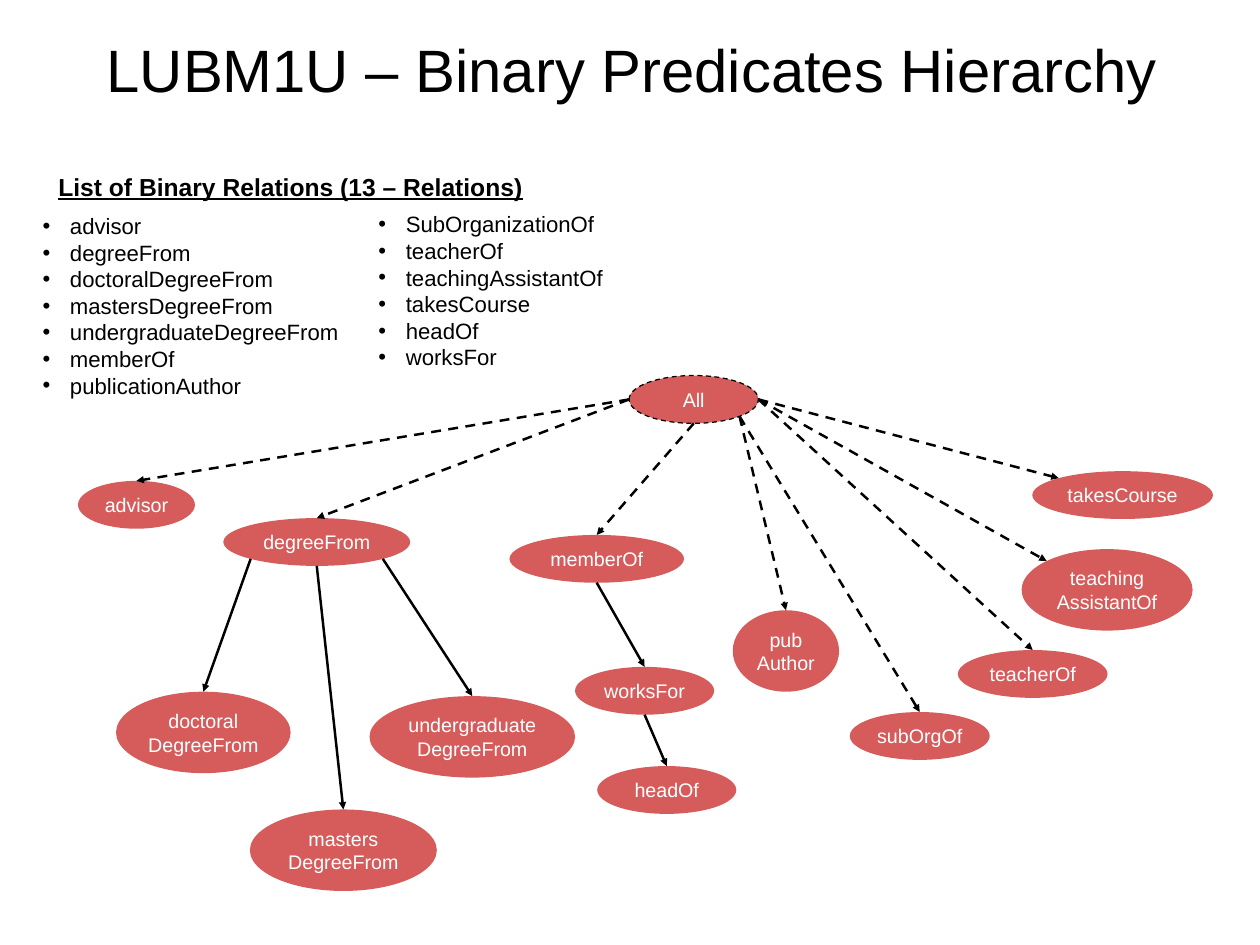
"""Build the slide showing the LUBM1U binary predicates hierarchy."""
import math

import lxml.etree
import pptx
import pptx.dml.color
import pptx.enum.dml
import pptx.enum.shapes
import pptx.enum.text
import pptx.oxml.ns
import pptx.util

Inches = pptx.util.Inches
ALIGN = pptx.enum.text.PP_ALIGN
ANCHOR = pptx.enum.text.MSO_ANCHOR
DASH = pptx.enum.dml.MSO_LINE.DASH

TOP, TOP_LEFT, LEFT, BOTTOM_LEFT, BOTTOM, BOTTOM_RIGHT, RIGHT = range(7)
ONE_LINE, TWO_LINES = 0.54, 0.92


def color(hex_string):
    return pptx.dml.color.RGBColor.from_string(hex_string)


def add_xml(parent, tag, **attributes):
    return lxml.etree.SubElement(parent, pptx.oxml.ns.qn(tag), attributes)


class HierarchySlide:
    font, ink, node_fill, node_text = "Arial", "000000", "C00000", "FFFFFF"
    node_alpha = "64000"

    def __init__(self, presentation):
        self.slide = presentation.slides.add_slide(presentation.slide_layouts[3])

    def place(self, shape, left, top, width, height):
        shape.left, shape.top = Inches(left), Inches(top)
        shape.width, shape.height = Inches(width), Inches(height)

    def set_text(self, shape, text, size, ink, align, anchor, bold=None, margin=None):
        frame = shape.text_frame
        frame.text = text
        frame.word_wrap = True
        frame.auto_size = pptx.enum.text.MSO_AUTO_SIZE.NONE
        frame.vertical_anchor = anchor
        if margin is not None:
            frame.margin_left = frame.margin_right = Inches(margin)
            frame.margin_top = frame.margin_bottom = Inches(margin)
        for paragraph in frame.paragraphs:
            paragraph.alignment = align
            paragraph.space_before = pptx.util.Pt(0)
            for run in paragraph.runs:
                run.font.name, run.font.size = self.font, pptx.util.Pt(size)
                run.font.color.rgb = color(ink)
                run.font.bold = run.font.underline = bold

    def indent(self, shape, margin, first_line):
        for paragraph in shape.text_frame.paragraphs:
            properties = paragraph._p.get_or_add_pPr()
            properties.set("marL", str(Inches(margin)))
            properties.set("indent", str(Inches(first_line)))

    def title(self, text, *box):
        shape = self.slide.shapes.title
        self.place(shape, *box)
        self.set_text(shape, text, 48.6, self.ink, ALIGN.CENTER, ANCHOR.MIDDLE, margin=0.06)

    def heading(self, text, *box):
        shape = self.slide.shapes.add_textbox(*map(Inches, box))
        self.set_text(shape, text, 20, self.ink, ALIGN.LEFT, ANCHOR.TOP, bold=True)
        self.indent(shape, 0, 0.25)

    def bullets(self, index, items, *box):
        shape = self.slide.placeholders[index]
        self.place(shape, *box)
        self.set_text(shape, "\n".join(items), 18, self.ink, ALIGN.LEFT, ANCHOR.TOP)
        self.indent(shape, 0.31, -0.31)

    def node(self, text, left, top, width, dashed=False):
        height = TWO_LINES if "\n" in text else ONE_LINE
        shape = self.slide.shapes.add_shape(
            pptx.enum.shapes.MSO_SHAPE.OVAL, *map(Inches, (left, top, width, height)))
        shape.shadow.inherit = False
        shape.fill.solid()
        shape.fill.fore_color.rgb = color(self.node_fill)
        fill = shape._element.spPr.find(pptx.oxml.ns.qn("a:solidFill"))
        add_xml(fill[0], "a:alpha", val=self.node_alpha)
        if dashed:
            shape.line.color.rgb = color(self.ink)
            shape.line.width = pptx.util.Pt(1)
            shape.line.dash_style = DASH
        else:
            shape.line.fill.background()
        self.set_text(shape, text, 16, self.node_text, ALIGN.CENTER, ANCHOR.MIDDLE, margin=0.06)
        shape.text_frame.word_wrap = False
        return shape

    def site_point(self, shape, site):
        angle = math.radians(90 + 45 * site)
        return (round(shape.left + shape.width / 2 * (1 + math.cos(angle))),
                round(shape.top + shape.height / 2 * (1 - math.sin(angle))))

    def arrow(self, parent, parent_site, child, child_site=TOP, dashed=False):
        connector = self.slide.shapes.add_connector(
            pptx.enum.shapes.MSO_CONNECTOR.STRAIGHT,
            *self.site_point(parent, parent_site), *self.site_point(child, child_site))
        joints = connector._element.nvCxnSpPr.cNvCxnSpPr
        add_xml(joints, "a:stCxn", id=str(parent.shape_id), idx=str(parent_site))
        add_xml(joints, "a:endCxn", id=str(child.shape_id), idx=str(child_site))
        connector.line.color.rgb = color(self.ink)
        connector.line.width = pptx.util.Pt(2)
        if dashed:
            connector.line.dash_style = DASH
        add_xml(connector.line._get_or_add_ln(), "a:tailEnd", type="triangle")
        add_xml(connector._element.spPr, "a:effectLst")


def main():
    presentation = pptx.Presentation()
    presentation.slide_width, presentation.slide_height = Inches(14.22), Inches(10.67)
    page = HierarchySlide(presentation)
    page.title("LUBM1U – Binary Predicates Hierarchy", 0.57, 0.28, 13.12, 1)
    page.heading("List of Binary Relations (13 – Relations)", 0.31, 1.89, 5.92, 0.44)
    page.bullets(1, ["advisor", "degreeFrom", "doctoralDegreeFrom", "mastersDegreeFrom",
                     "undergraduateDegreeFrom", "memberOf", "publicationAuthor"],
                 0.38, 2.35, 3.64, 2.22)
    page.bullets(2, ["SubOrganizationOf", "teacherOf", "teachingAssistantOf",
                     "takesCourse", "headOf", "worksFor"], 4.17, 2.33, 2.93, 1.92)

    root = page.node("All", 7.1, 4.24, 1.46, dashed=True)
    degree = page.node("degreeFrom", 2.52, 5.85, 2.11)
    member = page.node("memberOf", 5.75, 6.04, 1.97)
    works = page.node("worksFor", 6.49, 7.53, 1.57)

    for site, child, child_site in [
        (LEFT, page.node("advisor", 0.88, 5.43, 1.32), TOP),
        (LEFT, degree, TOP),
        (BOTTOM, member, TOP),
        (BOTTOM_RIGHT, page.node("pub\nAuthor", 8.27, 6.89, 1.2), TOP),
        (BOTTOM_RIGHT, page.node("subOrgOf", 9.59, 8.04, 1.58), TOP),
        (RIGHT, page.node("teacherOf", 10.81, 7.34, 1.69), TOP),
        (RIGHT, page.node("teaching\nAssistantOf", 11.53, 6.2, 1.93), TOP_LEFT),
        (RIGHT, page.node("takesCourse", 11.65, 5.32, 2.04), TOP_LEFT),
    ]:
        page.arrow(root, site, child, child_site, dashed=True)

    for parent, site, child in [
        (degree, BOTTOM_LEFT, page.node("doctoral\nDegreeFrom", 1.31, 7.81, 1.97)),
        (degree, BOTTOM, page.node("masters\nDegreeFrom", 2.82, 9.14, 2.11)),
        (degree, BOTTOM_RIGHT, page.node("undergraduate\nDegreeFrom", 4.17, 7.86, 2.32)),
        (member, BOTTOM, works),
        (works, BOTTOM, page.node("headOf", 6.74, 8.65, 1.57)),
    ]:
        page.arrow(parent, site, child)

    presentation.save("out.pptx")


if __name__ == "__main__":
    main()
